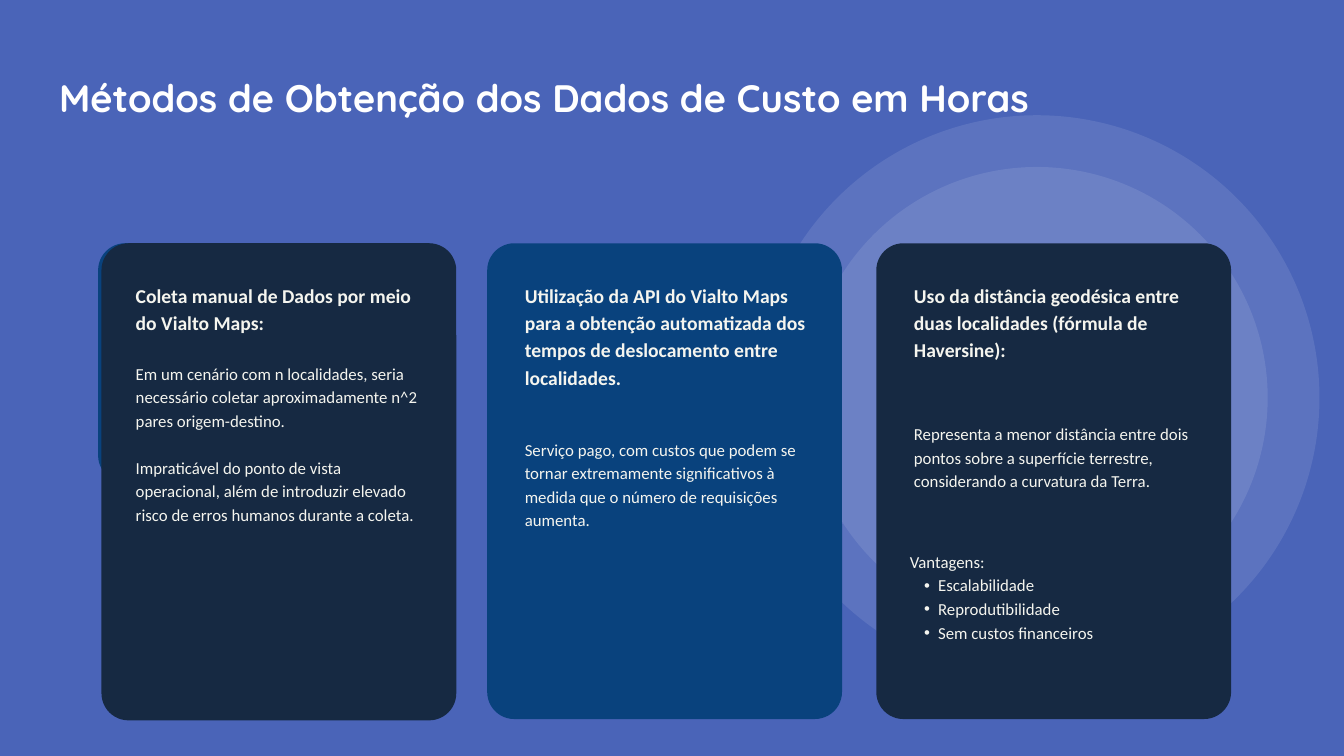
import pptx
import pptx.dml.color
import pptx.enum.shapes
import pptx.enum.text
import pptx.oxml.ns
import pptx.util
from lxml import etree

COLORS = {"back": "4A64B8", "white": "FFFFFF", "navy": "162942",
          "blue": "09427D", "cream": "F5F5EF"}
UNIT = 0.25  # inches per grid cell: 80 columns by 45 rows
SHAPE = pptx.enum.shapes.MSO_SHAPE
qn = pptx.oxml.ns.qn


def cells(*sizes):
    return [pptx.util.Inches(size * UNIT) for size in sizes]


def rgb(name):
    return pptx.dml.color.RGBColor.from_string(COLORS[name])


class Deck:
    def __init__(self):
        self.file = pptx.Presentation()
        self.file.slide_width, self.file.slide_height = cells(80, 45)
        self.slide = self.file.slides.add_slide(self.file.slide_layouts[6])
        fill = self.slide.background.fill
        fill.solid()
        fill.fore_color.rgb = rgb("back")

    def shape(self, kind, box, color):
        item = self.slide.shapes.add_shape(kind, *cells(*box))
        item.shadow.inherit = False
        item.fill.solid()
        item.fill.fore_color.rgb = rgb(color)
        item.line.fill.background()
        return item

    def ring(self, x, y, radius):
        box = (x - radius, y - radius, 2 * radius, 2 * radius)
        item = self.shape(SHAPE.OVAL, box, "white")
        tint = item._element.spPr.find(qn("a:solidFill"))[0]
        etree.SubElement(tint, qn("a:alpha")).set("val", "10000")

    def card(self, left, height, color):
        width, radius = 21.12, 1.61
        item = self.shape(SHAPE.ROUNDED_RECTANGLE,
                          (left, 14.48, width, height), color)
        item.adjustments[0] = radius / min(width, height)

    def text(self, box, lines, size, lead, color="cream", face="Calibri",
             bold=False, gap=0, dots=False):
        """Write lines; with dots, every line after the first is a bullet."""
        item = self.slide.shapes.add_textbox(*cells(*box))
        frame = item.text_frame
        frame.word_wrap = True
        frame.auto_size = pptx.enum.text.MSO_AUTO_SIZE.SHAPE_TO_FIT_TEXT
        frame.margin_left = frame.margin_right = 0
        frame.margin_top = frame.margin_bottom = 0
        for i, line in enumerate(lines):
            para = frame.add_paragraph() if i else frame.paragraphs[0]
            para.text = line
            if dots and i:
                self.bullet(para)
            para.line_spacing = pptx.util.Pt(lead)
            if gap and i:
                para.space_before = pptx.util.Pt(gap)
            para.font.name = face
            para.font.size = pptx.util.Pt(size)
            para.font.bold = bold
            para.font.color.rgb = rgb(color)

    def bullet(self, para):
        para.level = 1
        props = para._p.get_or_add_pPr()
        props.set("marL", str(pptx.util.Inches(0.42)))
        props.set("indent", str(pptx.util.Inches(-0.21)))
        etree.SubElement(props, qn("a:buFont")).set("typeface", "Arial")
        etree.SubElement(props, qn("a:buChar")).set("char", "•")

    def head(self, box, line):
        self.text(box, [line], 21, 29.4, bold=True)

    def body(self, box, lines, **style):
        self.text(box, lines, 18, 25.2, **style)


def main():
    deck = Deck()

    # Rings behind the cards
    for radius in (16.82, 13.74):
        deck.ring(61.72, 23.68, radius)

    # Title
    deck.text((3.52, 4.44, 65.68, 2.76),
              ["Métodos de Obtenção dos Dados de Custo em Horas"],
              41, 49.2, color="white", face="Quicksand", bold=True)

    # Manual collection
    deck.card(5.84, 14.24, "blue")
    deck.card(6.04, 28.4, "navy")
    deck.head((8.08, 16.64, 17.08, 3.16),
              "Coleta manual de Dados por meio do Vialto Maps:")
    deck.body((8.08, 21.44, 17.08, 12.28), [
        "Em um cenário com n localidades, seria necessário coletar "
        "aproximadamente n^2 pares origem-destino.",
        "Impraticável do ponto de vista operacional, além de introduzir "
        "elevado risco de erros humanos durante a coleta."], gap=25.2)

    # Paid service
    deck.card(29, 28.32, "blue")
    deck.head((31.24, 16.64, 17.08, 8),
              "Utilização da API do Vialto Maps para a obtenção automatizada "
              "dos tempos de deslocamento entre localidades.")
    deck.body((31.24, 25.96, 17.08, 5.44), [
        "Serviço pago, com custos que podem se tornar extremamente "
        "significativos à medida que o número de requisições aumenta."])

    # Geodesic distance
    deck.card(52.16, 28.32, "navy")
    deck.head((54.4, 16.64, 15.8, 6.4),
              "Uso da distância geodésica entre duas localidades "
              "(fórmula de Haversine):")
    deck.body((54.4, 25.04, 17.08, 5.44), [
        "Representa a menor distância entre dois pontos sobre a superfície "
        "terrestre, considerando a curvatura da Terra."])
    deck.body((54.16, 32.64, 17.08, 5.48), [
        "Vantagens:", "Escalabilidade", "Reprodutibilidade",
        "Sem custos financeiros"], dots=True)

    deck.file.save("out.pptx")


if __name__ == "__main__":
    main()
